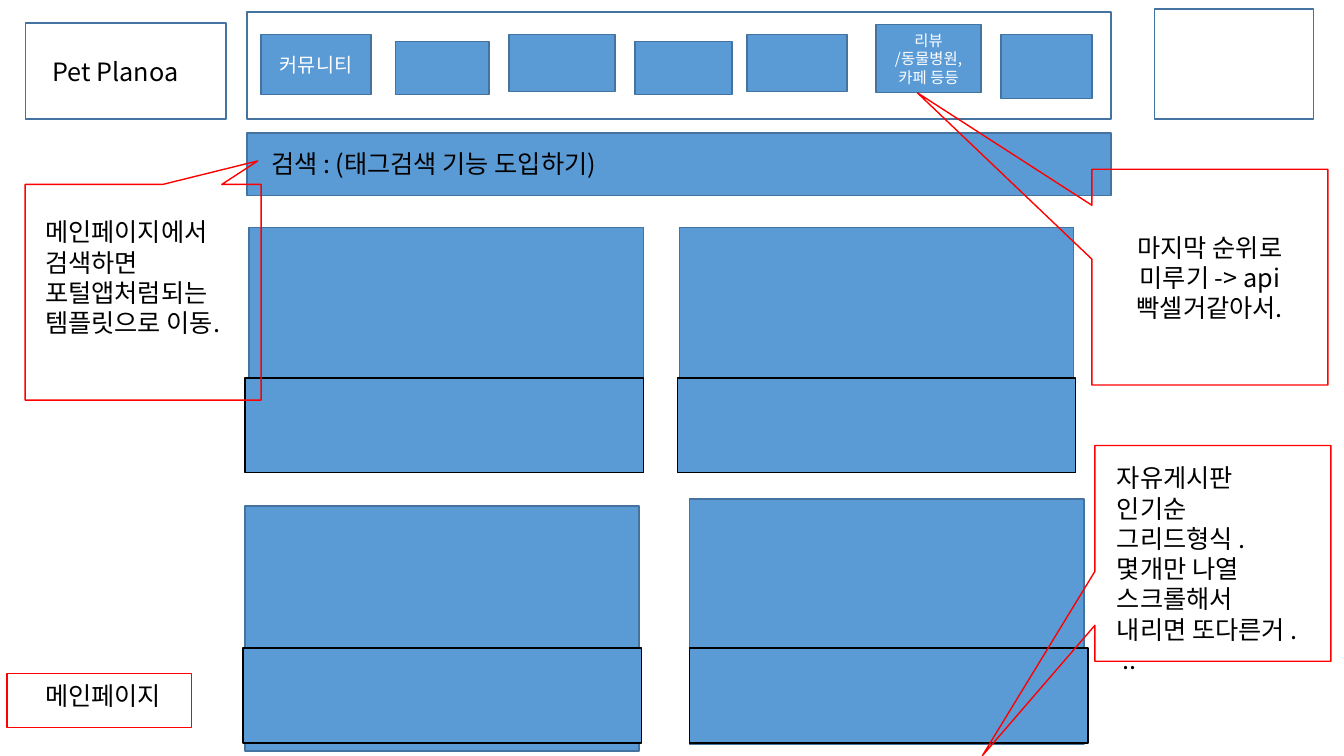
from dataclasses import dataclass

from lxml import etree
from pptx import Presentation
from pptx import util as u
from pptx.dml import color
from pptx.enum import shapes, text
from pptx.oxml import ns


@dataclass(frozen=True)
class Theme:
    """Colours, font and type sizes of the wireframe."""
    blue: str = "5B9BD5"
    edge: str = "43739E"
    red: str = "FF0000"
    black: str = "000000"
    white: str = "FFFFFF"
    font: str = "Noto Sans CJK KR"
    body: int = 18
    menu: int = 14
    small: int = 11
    leading: float = 1.2
    stroke: int = 1


theme = Theme()
RECT = shapes.MSO_SHAPE.RECTANGLE
CALLOUT = shapes.MSO_SHAPE.RECTANGULAR_CALLOUT
LEFT, CENTER = text.PP_ALIGN.LEFT, text.PP_ALIGN.CENTER
TOP, MIDDLE = text.MSO_ANCHOR.TOP, text.MSO_ANCHOR.MIDDLE

deck = Presentation()
# The grid has 13.33 columns and 7.5 rows, each one inch.
deck.slide_width, deck.slide_height = u.Inches(13.33), u.Inches(7.5)
page = deck.slides.add_slide(deck.slide_layouts[5])


def add_box(area, fill=None, line=theme.edge, kind=RECT):
    """Add an outlined shape at (column, row, columns, rows)."""
    box = page.shapes.add_shape(kind, *map(u.Inches, area))
    box.shadow.inherit = False
    if fill:
        box.fill.solid()
        box.fill.fore_color.rgb = color.RGBColor.from_string(fill)
    else:
        box.fill.background()
    box.line.color.rgb = color.RGBColor.from_string(line)
    box.line.width = u.Pt(theme.stroke)
    return box


def write(box, lines, size=theme.body, ink=theme.black, align=LEFT,
          anchor=TOP, wrap=True):
    """Write one paragraph per line into a shape."""
    frame = box.text_frame
    frame.text = "\n".join(lines)
    frame.word_wrap = wrap
    frame.auto_size = text.MSO_AUTO_SIZE.NONE
    frame.vertical_anchor = anchor
    for para in frame.paragraphs:
        para.alignment = align
        para.line_spacing = u.Pt(size * theme.leading)
        para.space_before = u.Pt(0)
        font = para.font
        font.size, font.name = u.Pt(size), theme.font
        font.color.rgb = color.RGBColor.from_string(ink)
        defaults = para._p.pPr.find(ns.qn("a:defRPr"))
        etree.SubElement(defaults, ns.qn("a:ea"), typeface=theme.font)


# Header: site name, menu frame and an empty panel
title = page.shapes.title
title.left, title.top, title.width, title.height = map(
    u.Inches, (0.25, 0.23, 1.99, 0.95))
title.line.color.rgb = color.RGBColor.from_string(theme.edge)
title.line.width = u.Pt(theme.stroke)
write(title, ["Pet Planoa"], anchor=MIDDLE)
title.text_frame.margin_left = u.Inches(0.27)
add_box((2.45, 0.12, 8.57, 1.06))
add_box((11.45, 0.09, 1.58, 1.09))

# Menu buttons
menu = [
    ((2.59, 0.34, 1.09, 0.6), ["커뮤니티"], theme.menu),
    ((3.92, 0.41, 0.93, 0.53), [], theme.menu),
    ((5.05, 0.34, 1.05, 0.57), [], theme.menu),
    ((6.3, 0.41, 0.96, 0.53), [], theme.menu),
    ((7.41, 0.34, 0.99, 0.57), [], theme.menu),
    ((8.69, 0.24, 1.04, 0.68), ["리뷰", "/동물병원, 카페 등등"], theme.small),
    ((9.93, 0.34, 0.9, 0.64), [], theme.menu),
]
for area, lines, size in menu:
    button = add_box(area, theme.blue)
    if lines:
        write(button, lines, size, theme.white, CENTER, MIDDLE)

# Search bar
add_box((2.45, 1.32, 8.57, 0.62), theme.blue)
search = page.shapes.add_textbox(*map(u.Inches, (2.59, 1.42, 6.64, 0.4)))
write(search, ["검색 : (태그검색 기능 도입하기)"])

# Cards, then their caption strips
for column, row in ((2.47, 2.26), (6.74, 2.26), (2.43, 5.02), (6.84, 4.95)):
    add_box((column, row, 3.91, 2.43), theme.blue)
for column, row in ((2.43, 3.75), (6.72, 3.75), (2.41, 6.43), (6.84, 6.43)):
    add_box((column, row, 3.95, 0.94), theme.blue, theme.black)

# Red callouts: corner and pointer tip
callouts = []
for corner, tip in (
    ((0.25, 1.83), (0.486, -0.609)),
    ((10.86, 4.42), (-0.977, 0.938)),
    ((10.83, 1.68), (-1.24, -0.855)),
):
    callout = add_box((*corner, 2.34, 2.14), line=theme.red, kind=CALLOUT)
    callout.adjustments[0], callout.adjustments[1] = tip
    callouts.append(callout)
write(callouts[-1], ["마지막 순위로 미루기 -> api빡셀거같아서."],
      align=CENTER, anchor=MIDDLE)

# Page label and notes
add_box((0.07, 6.68, 1.83, 0.54), line=theme.red)
notes = [
    ((0.35, 2.1, 2.11, 1.31), False,
     ["메인페이지에서", "검색하면", "포털앱처럼되는", "템플릿으로 이동."]),
    ((0.35, 6.7, 1.46, 0.4), False, ["메인페이지"]),
    ((10.98, 4.54, 1.98, 1.92), True,
     ["자유게시판 인기순 그리드형식 .몇개만 나열",
      "스크롤해서 내리면 또다른거 . .."]),
]
for area, wrap, lines in notes:
    note = page.shapes.add_textbox(*map(u.Inches, area))
    write(note, lines, wrap=wrap)

deck.save("out.pptx")
